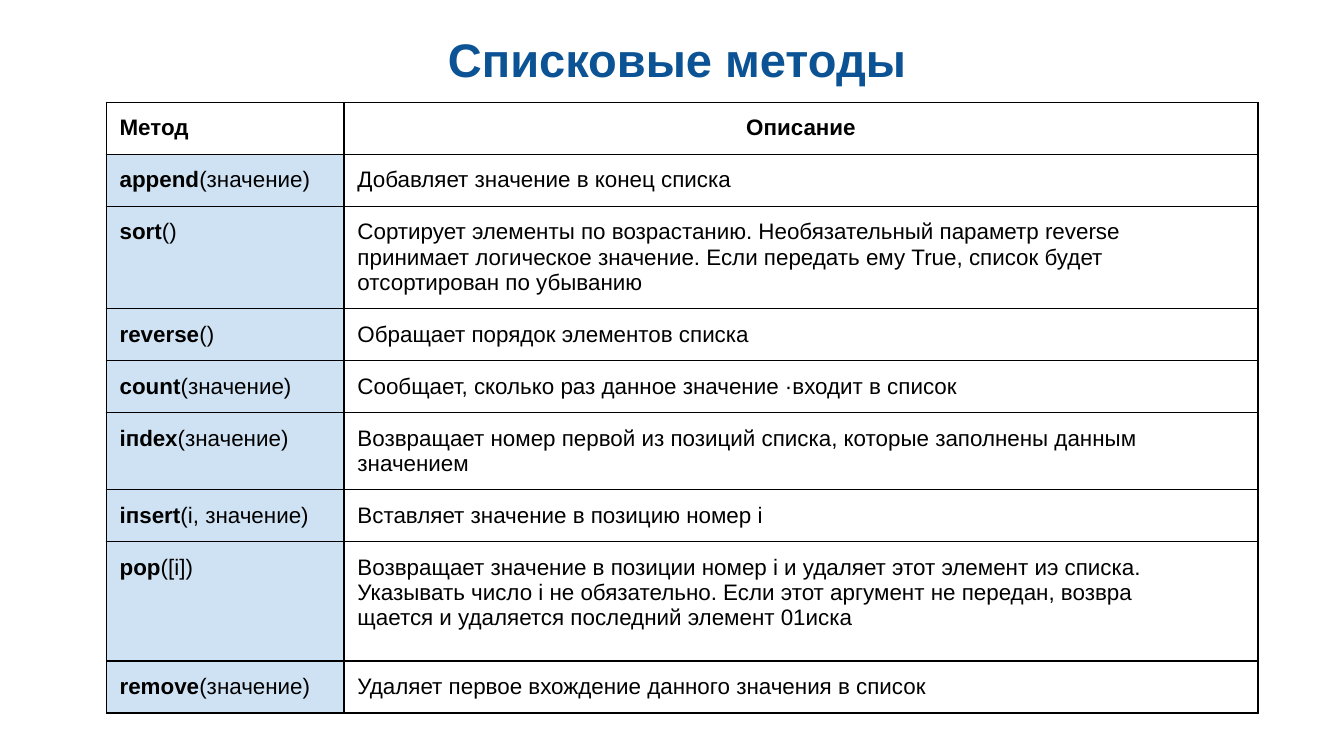
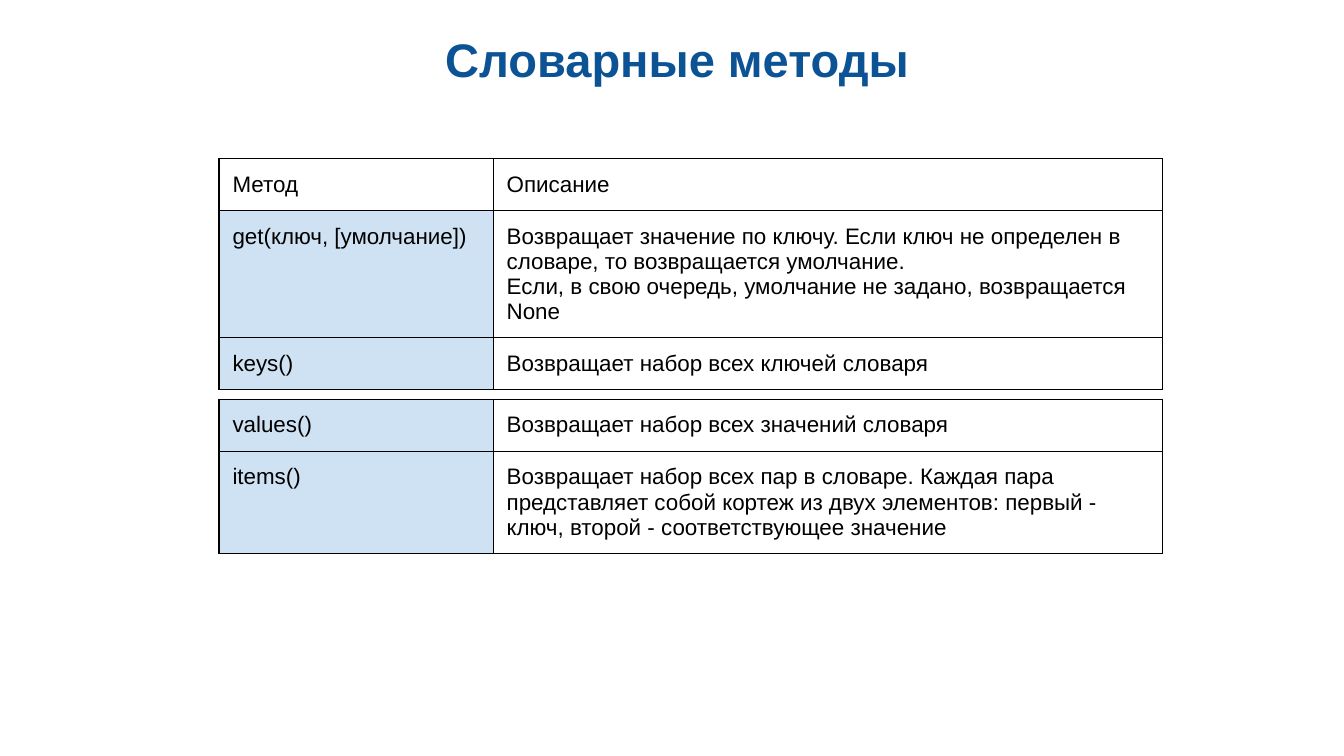
from lxml import etree
from pptx import Presentation
from pptx import util as u
from pptx.dml.color import RGBColor
from pptx.enum import text
from pptx.oxml.ns import qn

FONT = "Arial"
TITLE_BLUE, METHOD_BLUE = "0B5394", "CFE2F3"
BLACK, WHITE = "000000", "FFFFFF"
SLIDE_WIDTH = u.Inches(10)
SLIDE_HEIGHT = SLIDE_WIDTH * 9 // 16
INSET = u.Inches(0.1)
# Row height by number of text lines
LINES = {1: 0.38, 2: 0.57, 3: 0.75, 4: 0.94}

# Each row: height, method runs as (text, bold), description paragraphs
LIST_METHODS = [
    (LINES[1], [("Метод", True)], ["Описание"]),
    (LINES[1], [("арреnd", True), ("(значение)", False)],
     ["Добавляет значение в конец списка"]),
    (LINES[3], [("sort", True), ("()", False)],
     ["Сортирует элементы по возрастанию. Необязательный параметр reverse",
      "принимает логическое значение. Если передать ему True, список будет",
      "отсортирован по убыванию"]),
    (LINES[1], [("reverse", True), ("()", False)],
     ["Обращает порядок элементов списка"]),
    (LINES[1], [("соunt", True), ("(значение)", False)],
     ["Сообщает, сколько раз данное значение ·входит в список"]),
    (LINES[2], [("iпdех", True), ("(значение)", False)],
     ["Возвращает номер первой из позиций списка, которые заполнены данным",
      "значением"]),
    (LINES[1], [("iпsert", True), ("(i, значение)", False)],
     ["Вставляет значение в позицию номер i"]),
    (0.89, [("pop", True), ("([i])", False)],
     ["Возвращает значение в позиции номер i и удаляет этот элемент иэ списка.",
      "Указывать число i не обязательно. Если этот аргумент не передан, возвра",
      "щается и удаляется последний элемент 01иска"]),
    (LINES[1], [("rеmоvе", True), ("(значение)", False)],
     ["Удаляет первое вхождение данного значения в список"]),
]
DICT_LOOKUP = [
    (LINES[1], [("Метод", False)], ["Описание"]),
    (LINES[4], [("gеt(ключ, [умолчание])", False)],
     ["Возвращает значение по ключу. Если ключ не определен в словаре, "
      "то возвращается умолчание.",
      "Если, в свою очередь, умолчание не задано, возвращается None"]),
    (LINES[1], [("keys()", False)], ["Возвращает набор всех ключей словаря"]),
]
DICT_CONTENTS = [
    (LINES[1], [("values()", False)], ["Возвращает набор всех значений словаря"]),
    (LINES[3], [("items()", False)],
     ["Возвращает набор всех пар в словаре. Каждая пара представляет собой "
      "кортеж из двух элементов: первый - ключ, второй - соответствующее значение"]),
]


def color(hex_value):
    return RGBColor.from_string(hex_value)


def add_run(paragraph, words, size, hex_value, bold):
    run = paragraph.add_run()
    run.text = words
    run.font.name, run.font.size, run.font.bold = FONT, u.Pt(size), bold
    run.font.color.rgb = color(hex_value)


def set_insets(frame):
    frame.margin_left = frame.margin_right = INSET
    frame.margin_top = frame.margin_bottom = INSET


def add_titled_slide(prs, heading):
    slide = prs.slides.add_slide(prs.slide_layouts[5])
    title = slide.shapes.title
    title.left, title.top = u.Inches(0.21), u.Inches(0.13)
    title.width, title.height = u.Inches(9.56), u.Inches(0.63)
    frame = title.text_frame
    set_insets(frame)
    frame.word_wrap = True
    frame.auto_size = text.MSO_AUTO_SIZE.NONE
    frame.vertical_anchor = text.MSO_ANCHOR.TOP
    paragraph = frame.paragraphs[0]
    paragraph.alignment = text.PP_ALIGN.CENTER
    add_run(paragraph, heading, 25.2, TITLE_BLUE, True)
    return slide


def add_borders(cell):
    properties = cell._tc.get_or_add_tcPr()
    for side in ("a:lnL", "a:lnR", "a:lnT", "a:lnB"):
        line = etree.SubElement(properties, qn(side), w=str(u.Pt(0.75)))
        fill = etree.SubElement(line, qn("a:solidFill"))
        etree.SubElement(fill, qn("a:srgbClr"), val=BLACK)


def fill_cell(cell, paragraphs, fill, align):
    """Write paragraphs, each a list of (text, bold) runs, into a bordered cell."""
    add_borders(cell)
    if fill:
        cell.fill.solid()
        cell.fill.fore_color.rgb = color(fill)
    else:
        cell.fill.background()
    set_insets(cell)
    frame = cell.text_frame
    for number, runs in enumerate(paragraphs):
        paragraph = frame.add_paragraph() if number else frame.paragraphs[0]
        paragraph.alignment = align
        for words, bold in runs:
            add_run(paragraph, words, 12, BLACK, bold)


def add_methods_table(slide, left, top, widths, rows, has_header=True,
                      header_align=text.PP_ALIGN.LEFT, description_fill=WHITE):
    height = sum(row[0] for row in rows)
    table = slide.shapes.add_table(
        len(rows), len(widths), u.Inches(left), u.Inches(top),
        u.Inches(sum(widths)), u.Inches(height)).table
    table.first_row = table.horz_banding = False
    for column, width in zip(table.columns, widths):
        column.width = u.Inches(width)
    for index, (row_height, method, description) in enumerate(rows):
        is_header = has_header and index == 0
        table.rows[index].height = u.Inches(row_height)
        fill_cell(table.cell(index, 0), [method],
                  WHITE if is_header else METHOD_BLUE, text.PP_ALIGN.LEFT)
        # A header description shares the weight of its method heading
        bold = is_header and method[0][1]
        fill_cell(table.cell(index, 1), [[(line, bold)] for line in description],
                  description_fill,
                  header_align if is_header else text.PP_ALIGN.LEFT)


def add_list_slide(prs):
    slide = add_titled_slide(prs, " Списковые методы")
    add_methods_table(slide, 0.79, 0.76, (1.77, 6.8), LIST_METHODS,
                      header_align=text.PP_ALIGN.CENTER)


def add_dictionary_slide(prs):
    slide = add_titled_slide(prs, " Словарные методы")
    left, widths = 1.63, (2.04, 4.98)
    add_methods_table(slide, left, 1.18, widths, DICT_LOOKUP)
    add_methods_table(slide, left, 2.97, widths, DICT_CONTENTS,
                      has_header=False, description_fill=None)


def main():
    prs = Presentation()
    prs.slide_width, prs.slide_height = SLIDE_WIDTH, SLIDE_HEIGHT
    add_list_slide(prs)
    add_dictionary_slide(prs)
    prs.save("out.pptx")


if __name__ == "__main__":
    main()
